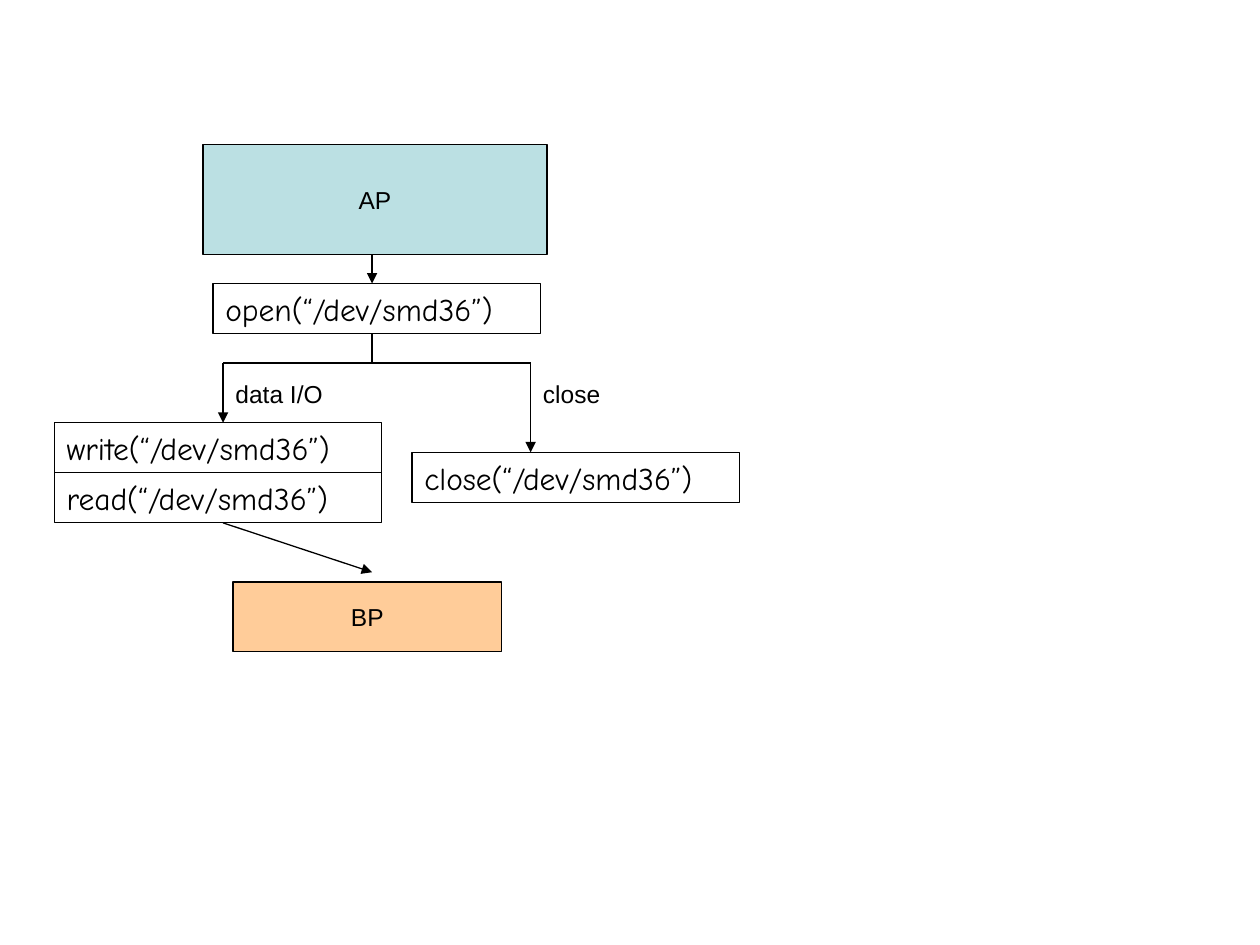
from lxml import etree
from pptx import Presentation
from pptx import util as u
from pptx.dml.color import RGBColor
from pptx.enum import shapes, text
from pptx.oxml.ns import qn

COLORS = {"ink": "000000", "ap": "BBE0E3", "bp": "FFCC99"}

presentation = Presentation()
presentation.slide_width, presentation.slide_height = u.Pt(720), u.Pt(540)
slide = presentation.slides.add_slide(presentation.slide_layouts[6])


def write_text(shape, content, font_name, size, alignment):
    frame = shape.text_frame
    frame.text = content
    frame.word_wrap = True
    paragraph = frame.paragraphs[0]
    paragraph.alignment = alignment
    font = paragraph.runs[0].font
    font.name, font.size = font_name, u.Pt(size)
    font.color.rgb = RGBColor.from_string(COLORS["ink"])


def add_box(left, top, width, height, fill=None):
    box = slide.shapes.add_shape(
        shapes.MSO_SHAPE.RECTANGLE, u.Pt(left), u.Pt(top), u.Pt(width), u.Pt(height))
    box.shadow.inherit = False
    if fill:
        box.fill.solid()
        box.fill.fore_color.rgb = RGBColor.from_string(COLORS[fill])
    else:
        box.fill.background()
    box.line.color.rgb = RGBColor.from_string(COLORS["ink"])
    box.line.width = u.Pt(0.75)
    return box


# Processors
for name, left, top, width, height, fill in [
    ("AP", 116, 82.8, 196.6, 62.6, "ap"),
    ("BP", 133.2, 332.6, 153.4, 39.6, "bp"),
]:
    box = add_box(left, top, width, height, fill)
    write_text(box, name, "Arial", 14, text.PP_ALIGN.CENTER)
    box.text_frame.vertical_anchor = text.MSO_ANCHOR.MIDDLE
    box.text_frame.word_wrap = False

# Device calls
call_width, call_height = 187.2, 28.6
open_top, write_top, close_top = 162, 241.6, 258.5
read_top = write_top + call_height
for call, left, top in [
    ("open", 121.7, open_top),
    ("write", 31, write_top),
    ("read", 31, read_top),
    ("close", 235.4, close_top),
]:
    box = add_box(left, top, call_width, call_height)
    write_text(box, f"{call}(“/dev/smd36”)", "Comic Neue", 18, text.PP_ALIGN.LEFT)
    box.text_frame.vertical_anchor = text.MSO_ANCHOR.TOP

# Branch labels
trunk_x, data_x, close_x = 212.6, 127.5, 303.2
branch_y = 207.5
for label, left in [("data I/O", data_x), ("close", close_x)]:
    box = slide.shapes.add_textbox(u.Pt(left), u.Pt(213.2), u.Pt(79.2), u.Pt(24.5))
    write_text(box, label, "Arial", 14, text.PP_ALIGN.LEFT)

# Flow lines: start, end, arrowhead
for x1, y1, x2, y2, has_arrow in [
    (trunk_x, 145.4, trunk_x, open_top, True),
    (trunk_x, open_top + call_height, trunk_x, branch_y, False),
    (data_x, branch_y, close_x, branch_y, False),
    (data_x, branch_y, data_x, write_top, True),
    (close_x, branch_y, close_x, close_top, True),
    (data_x, read_top + call_height, trunk_x, 327, True),
]:
    connector = slide.shapes.add_connector(
        shapes.MSO_CONNECTOR.STRAIGHT, u.Pt(x1), u.Pt(y1), u.Pt(x2), u.Pt(y2))
    connector.line.color.rgb = RGBColor.from_string(COLORS["ink"])
    connector.line.width = u.Pt(0.75)
    properties = connector._element.spPr
    if has_arrow:
        etree.SubElement(properties.find(qn("a:ln")), qn("a:tailEnd"), type="triangle")
    etree.SubElement(properties, qn("a:effectLst"))

presentation.save("out.pptx")
